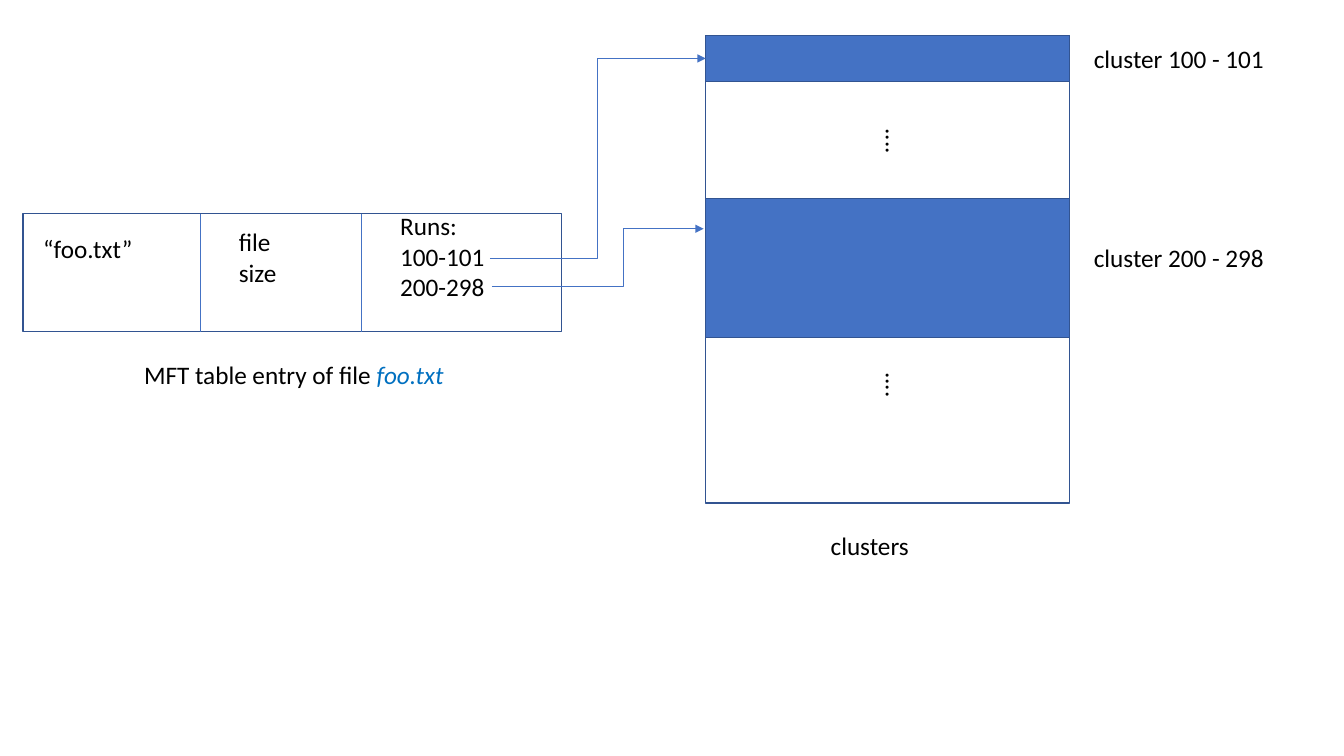
from pptx import Presentation
from pptx.dml.color import RGBColor
from pptx.enum.shapes import MSO_CONNECTOR, MSO_SHAPE
from pptx.enum.text import MSO_AUTO_SIZE
from pptx.oxml.ns import qn
from pptx.util import Inches, Pt
from lxml.etree import SubElement

BLACK = RGBColor(0x00, 0x00, 0x00)
BLUE = RGBColor(0x44, 0x72, 0xC4)
NAVY = RGBColor(0x32, 0x54, 0x91)
AZURE = RGBColor(0x00, 0x70, 0xC0)

# Entry box and cluster stack: left, top, width, height
ENTRY = (0.23, 2.12, 5.34, 1.17)
STACK = (7, 0.35, 3.61, 4.64)


def add_box(slide, left, top, width, height, fill=None):
    box = slide.shapes.add_shape(
        MSO_SHAPE.RECTANGLE, Inches(left), Inches(top), Inches(width), Inches(height))
    box.shadow.inherit = False
    if fill is None:
        box.fill.background()
    else:
        box.fill.solid()
        box.fill.fore_color.rgb = fill
    box.line.color.rgb = NAVY
    box.line.width = Pt(1)


def add_line(slide, start, end, kind=MSO_CONNECTOR.STRAIGHT):
    line = slide.shapes.add_connector(kind, *map(Inches, start + end))
    line.line.color.rgb = BLUE
    line.line.width = Pt(0.5)
    SubElement(line._element.spPr, qn("a:effectLst"))
    return line


def add_arrow(slide, start, end, bend):
    arrow = add_line(slide, start, end, MSO_CONNECTOR.ELBOW)
    # Position of the bend, as a share of the width
    geom = arrow._element.spPr.find(qn("a:prstGeom"))
    guide = SubElement(geom.find(qn("a:avLst")), qn("a:gd"))
    guide.set("name", "adj1")
    guide.set("fmla", f"val {round(bend * 100000)}")
    SubElement(arrow.line._get_or_add_ln(), qn("a:tailEnd")).set("type", "triangle")


def add_text(slide, left, top, width, height, *rows, turn=0):
    box = slide.shapes.add_textbox(
        Inches(left), Inches(top), Inches(width), Inches(height))
    box.rotation = turn
    frame = box.text_frame
    frame.word_wrap = False
    frame.auto_size = MSO_AUTO_SIZE.SHAPE_TO_FIT_TEXT
    frame.text = "\n".join(rows)
    for para in frame.paragraphs:
        para.font.size = Pt(18)
        para.font.name = "Calibri"
        para.font.color.rgb = BLACK
    return frame


def draw_entry(slide):
    left, top, width, height = ENTRY
    add_box(slide, *ENTRY)
    for x in (1.99, 3.58):
        add_line(slide, (x, top), (x, top + height))
    add_text(slide, 3.87, 2.04, 1.42, 1.4, "Runs:", "100-101", "200-298")
    add_text(slide, 2.27, 2.2, 1.1, 1.4, "file", "size")
    add_text(slide, 0.33, 2.27, 1.09, 0.4, "“foo.txt”")

    # Caption with the file name set apart
    frame = add_text(slide, 1.33, 3.52, 3.21, 0.4, "MFT table entry of file ")
    name = frame.paragraphs[0].add_run()
    name.text = "foo.txt"
    name.font.italic = True
    name.font.color.rgb = AZURE


def draw_stack(slide):
    left, top, width, height = STACK
    add_box(slide, *STACK)
    for y in (0.81, 1.97, 3.35):
        add_line(slide, (left, y), (left + width, y))

    # Skipped clusters
    for y in (1.24, 3.66):
        add_text(slide, 8.25, y, 0.9, 0.77, "....", turn=90)

    # Clusters in use, with their labels
    for y, tall, mark, label in (
        (1.97, 1.38, 2.36, "cluster 200 - 298"),
        (top, 0.46, 0.38, "cluster 100 - 101"),
    ):
        add_box(slide, left, y, width, tall, BLUE)
        add_text(slide, 10.75, mark, 1.91, 0.4, label)
    add_text(slide, 8.14, 5.21, 1.34, 0.56, "clusters")


def main():
    deck = Presentation()
    deck.slide_width = Inches(13.33)
    deck.slide_height = Inches(7.5)
    slide = deck.slides.add_slide(deck.slide_layouts[6])
    draw_entry(slide)
    draw_stack(slide)

    # Runs point to their clusters
    add_arrow(slide, (4.86, 2.56), (7, 0.58), 0.5)
    add_arrow(slide, (4.88, 2.84), (6.98, 2.27), 0.62)
    deck.save("out.pptx")


if __name__ == "__main__":
    main()
